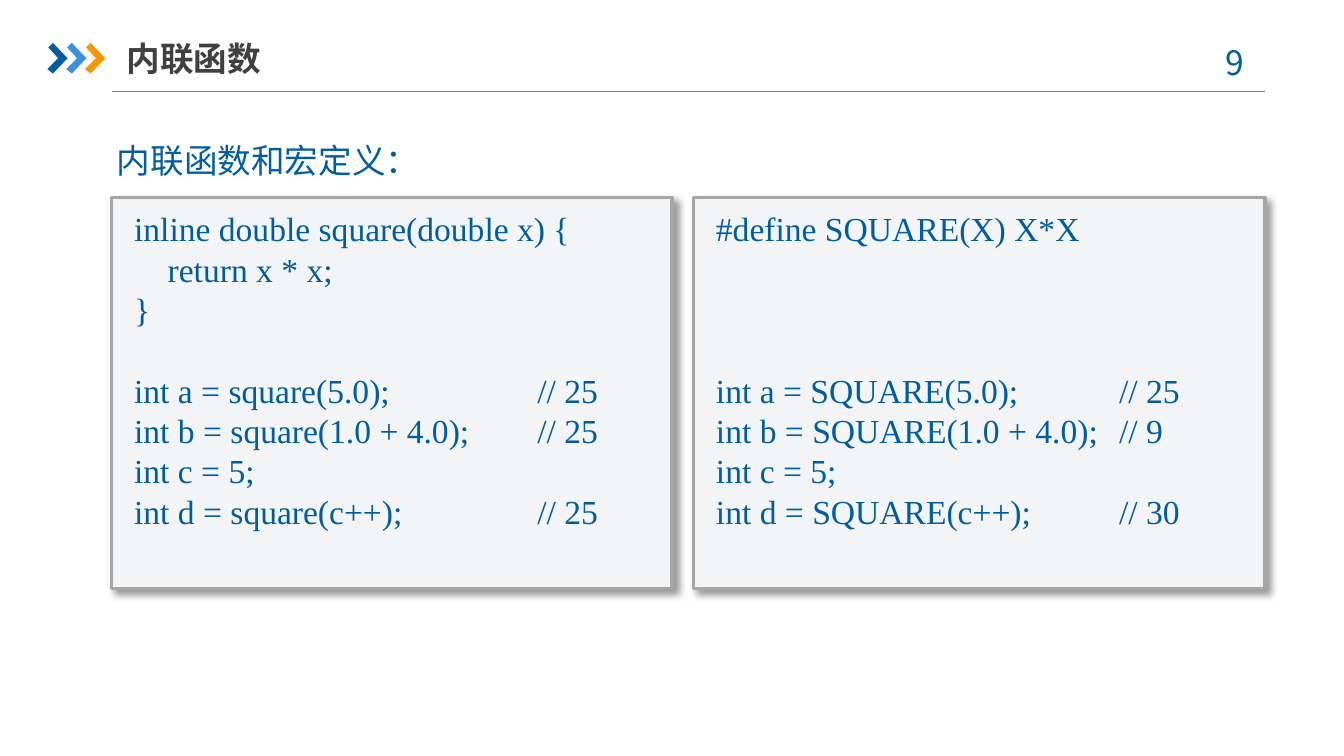
from lxml.etree import SubElement
from pptx import Presentation
from pptx.dml.color import RGBColor
from pptx.enum.shapes import MSO_CONNECTOR, MSO_SHAPE
from pptx.enum.text import MSO_ANCHOR, MSO_AUTO_SIZE, PP_ALIGN
from pptx.oxml import parse_xml
from pptx.oxml.ns import nsdecls, qn
from pptx.util import Pt

BLUE = RGBColor(0x00, 0x5D, 0xA2)
SKY = RGBColor(0x39, 0x92, 0xDB)
AMBER = RGBColor(0xF7, 0x96, 0x00)
DARK = RGBColor(0x40, 0x40, 0x40)
GRAY = RGBColor(0x80, 0x80, 0x80)
EDGE = RGBColor(0xA6, 0xA6, 0xA6)
PALE = RGBColor(0xF3, 0xF4, 0xF5)
SANS, SERIF = "Noto Sans CJK SC", "Times New Roman"

# Content
TITLE = "内联函数"
PAGE = "9"
LEAD = "内联函数和宏定义："
# Each panel: left, width, macro or function lines, empty lines, calls
PANELS = [
    (59.8, 300.2,
     ["inline double square(double x) {", "    return x * x;", "}"], 1,
     ["int a = square(5.0);\t// 25",
      "int b = square(1.0 + 4.0);\t// 25",
      "int c = 5;",
      "int d = square(c++);\t// 25"]),
    (371.5, 306,
     ["#define SQUARE(X) X*X"], 3,
     ["int a = SQUARE(5.0);\t// 25",
      "int b = SQUARE(1.0 + 4.0);\t// 9",
      "int c = 5;",
      "int d = SQUARE(c++);\t// 30"]),
]
CHEVRON = [(0.5, 2.4), (3, 0), (10.8, 8.2), (3, 16.4), (0, 14), (5.8, 8.2)]
LINE, TAB, PAD = 21.6, 216, 5

deck = Presentation()
deck.slide_width, deck.slide_height = Pt(720), Pt(405)
slide = deck.slides.add_slide(deck.slide_layouts[6])
shapes = slide.shapes


def style(par, face, color, bold=False):
    for run in par.runs:
        font = run.font
        font.name, font.size, font.bold = face, Pt(18), bold
        font.color.rgb = color
        SubElement(font._element, qn("a:ea"), typeface=face)


def label(text, x, y, w, h, color=BLUE, bold=False):
    box = shapes.add_textbox(Pt(x), Pt(y), Pt(w), Pt(h))
    frame = box.text_frame
    frame.word_wrap = True
    frame.text = text
    style(frame.paragraphs[0], SANS, color, bold)
    return frame


def panel(group, x, y, w, h):
    rect = group.shapes.add_shape(
        MSO_SHAPE.RECTANGLE, Pt(x), Pt(y), Pt(w), Pt(h))
    rect.shadow.inherit = False
    rect.fill.solid()
    rect.fill.fore_color.rgb = PALE
    rect.line.fill.background()
    return rect


# Header rule
rule = shapes.add_connector(
    MSO_CONNECTOR.STRAIGHT, Pt(59.8), Pt(49.2), Pt(677.5), Pt(49.2))
rule.line.color.rgb = GRAY
rule.line.width = Pt(0.75)
SubElement(rule._element.spPr, qn("a:effectLst"))

# Header chevrons
marks = shapes.add_group_shape()
for i, color in enumerate((BLUE, SKY, AMBER)):
    dots = [(Pt(25.4 + 10.1 * i + x), Pt(23 + y)) for x, y in CHEVRON]
    pen = marks.shapes.build_freeform(*dots[0])
    pen.add_line_segments(dots[1:], close=True)
    mark = pen.convert_to_shape()
    mark.shadow.inherit = False
    mark.fill.solid()
    mark.fill.fore_color.rgb = color
    mark.line.fill.background()

# Page number, title and lead line
label(PAGE, 635.2, 18.7, 52.6, 28.8).paragraphs[0].alignment = PP_ALIGN.CENTER
head = label(TITLE, 67.9, 15.8, 167.8, 30.2, DARK, True)
head.margin_left = head.margin_right = 0
head.vertical_anchor = MSO_ANCHOR.MIDDLE
label(LEAD, 55.6, 60.5, 600, 36).paragraphs[0].line_spacing = 1.5

# Code panels
for left, wide, top, gap, calls in PANELS:
    group = shapes.add_group_shape()
    back = panel(group, left, 105.8, wide, 209.5)
    back.line.color.rgb = EDGE
    back.line.width = Pt(2)
    glow = back._element.spPr.find(qn("a:effectLst"))
    glow.append(parse_xml(
        f'<a:outerShdw {nsdecls("a")} blurRad="{Pt(4)}" dist="{Pt(3)}" '
        'dir="2700000" algn="tl" rotWithShape="0"><a:srgbClr val="000000">'
        '<a:alpha val="40000"/></a:srgbClr></a:outerShdw>'))

    code = panel(group, left + PAD, 108, wide - 2 * PAD, 181.4)
    frame = code.text_frame
    frame.word_wrap = True
    frame.auto_size = MSO_AUTO_SIZE.SHAPE_TO_FIT_TEXT
    frame.vertical_anchor = MSO_ANCHOR.TOP
    frame.text = "\n".join(top + calls)
    for i, par in enumerate(frame.paragraphs):
        par.alignment = PP_ALIGN.LEFT
        par.line_spacing = Pt(LINE)
        if i == len(top):
            par.space_before = Pt(gap * LINE)
        if "\t" in par.text:
            tabs = SubElement(par._p.get_or_add_pPr(), qn("a:tabLst"))
            SubElement(tabs, qn("a:tab"), pos=str(Pt(TAB)), algn="l")
        style(par, SERIF, BLUE)

deck.save("out.pptx")
